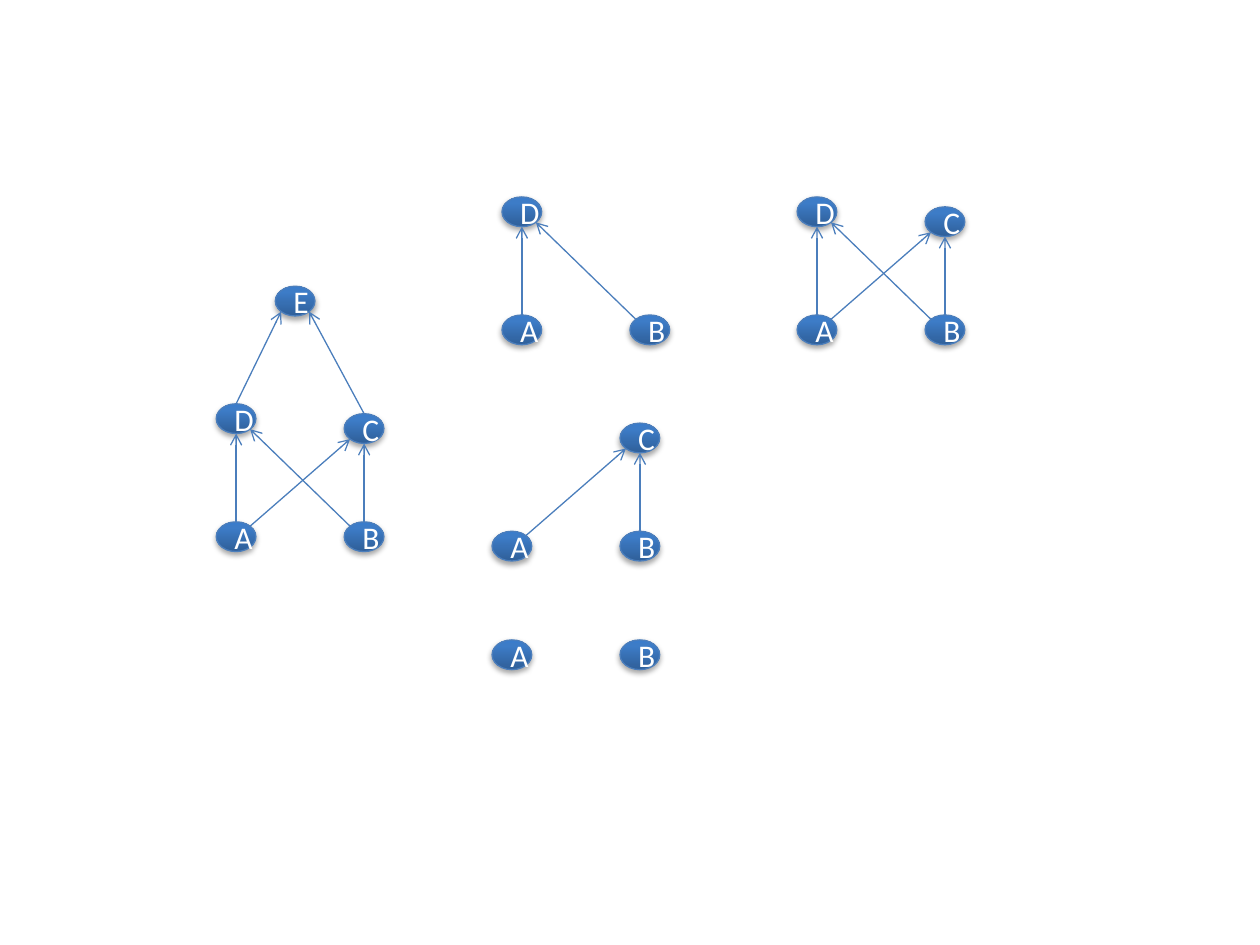
from copy import deepcopy
from dataclasses import dataclass
from math import sqrt

from lxml import etree
from pptx import Presentation
from pptx.dml.color import RGBColor
from pptx.enum.shapes import MSO_CONNECTOR, MSO_SHAPE
from pptx.enum.text import MSO_ANCHOR, PP_ALIGN
from pptx.oxml.ns import qn
from pptx.util import Cm, Pt

STRAIGHT = MSO_CONNECTOR.STRAIGHT
ELLIPSE = MSO_SHAPE.OVAL
CENTER = PP_ALIGN.CENTER
MIDDLE = MSO_ANCHOR.MIDDLE


@dataclass(frozen=True)
class Theme:
    gradient: tuple = ((0, "2F5F99"), (0.8, "3D7CC7"), (1, "3A7CCB"))
    line: RGBColor = RGBColor.from_string("4B7EBC")
    text: RGBColor = RGBColor.from_string("FFFFFF")
    font: str = "Calibri"
    text_size: Pt = Pt(18)
    line_width: Pt = Pt(0.75)


THEME = Theme()

NODE_WIDTH, NODE_HEIGHT = 0.8, 0.6

# Left and top of each node within the full graph, in cm
NODE_OFFSETS = {
    "A": (0, 4.75),
    "B": (2.58, 4.75),
    "C": (2.58, 2.57),
    "D": (0, 2.37),
    "E": (1.19, 0),
}

# Points on a node's rim, as multiples of its half width and half height
DIAGONAL = sqrt(0.5)
TOP, BOTTOM = (0, -1), (0, 1)
TOP_LEFT, TOP_RIGHT = (-DIAGONAL, -DIAGONAL), (DIAGONAL, -DIAGONAL)
BOTTOM_LEFT, BOTTOM_RIGHT = (-DIAGONAL, DIAGONAL), (DIAGONAL, DIAGONAL)

EDGES = (
    ("B", TOP_LEFT, "D", BOTTOM_RIGHT),
    ("A", TOP, "D", BOTTOM),
    ("B", TOP, "C", BOTTOM),
    ("D", TOP, "E", BOTTOM_LEFT),
    ("C", TOP, "E", BOTTOM_RIGHT),
    ("A", TOP_RIGHT, "C", BOTTOM_LEFT),
)

# Nodes shown, then left and top of the graph's box in cm
GRAPHS = (
    ("ABCDE", 4.36, 5.77),
    ("ABC", 9.92, 8.53),
    ("ABD", 10.12, 3.97),
    ("ABCD", 16.07, 3.97),
    ("AB", 9.92, 12.9),
)


def add_gradient(fill):
    fill.gradient()
    fill.gradient_angle = 90
    stop_list = fill._xPr.find(qn("a:gradFill")).find(qn("a:gsLst"))
    stop_list.append(deepcopy(stop_list[0]))
    for stop, (position, color) in zip(fill.gradient_stops, THEME.gradient):
        stop.position = position
        stop.color.rgb = RGBColor.from_string(color)


def add_soft_shadow(node):
    node.shadow.inherit = False
    effects = node._element.spPr.find(qn("a:effectLst"))
    shadow = etree.SubElement(
        effects, qn("a:outerShdw"), blurRad=str(Pt(3.1)),
        dist=str(Pt(1.8)), dir="5400000", rotWithShape="0")
    black = etree.SubElement(shadow, qn("a:srgbClr"), val="000000")
    etree.SubElement(black, qn("a:alpha"), val="35000")


def style_line(line):
    line.color.rgb = THEME.line
    line.width = THEME.line_width


def add_node(slide, letter, left, top):
    node = slide.shapes.add_shape(
        ELLIPSE, Cm(left), Cm(top), Cm(NODE_WIDTH), Cm(NODE_HEIGHT))
    add_gradient(node.fill)
    style_line(node.line)
    add_soft_shadow(node)
    label = node.text_frame
    label.text = letter
    label.vertical_anchor = MIDDLE
    label.paragraphs[0].alignment = CENTER
    font = label.paragraphs[0].runs[0].font
    font.name, font.size = THEME.font, THEME.text_size
    font.color.rgb = THEME.text


def rim_point(corner, site):
    left, top = corner
    return (Cm(left + NODE_WIDTH / 2 * (1 + site[0])),
            Cm(top + NODE_HEIGHT / 2 * (1 + site[1])))


def add_arrow(slide, start, end):
    arrow = slide.shapes.add_connector(STRAIGHT, *start, *end)
    style_line(arrow.line)
    etree.SubElement(arrow.line._get_or_add_ln(), qn("a:tailEnd"), type="arrow")
    etree.SubElement(arrow._element.spPr, qn("a:effectLst"))


def add_graph(slide, letters, left, top):
    """Draw the part of the full graph that joins the given nodes."""
    highest = min(NODE_OFFSETS[letter][1] for letter in letters)
    corners = {}
    for letter in letters:
        dx, dy = NODE_OFFSETS[letter]
        corners[letter] = (left + dx, top + dy - highest)
        add_node(slide, letter, *corners[letter])
    for source, source_site, target, target_site in EDGES:
        if source in corners and target in corners:
            add_arrow(slide, rim_point(corners[source], source_site),
                      rim_point(corners[target], target_site))


def main():
    deck = Presentation()
    deck.slide_width, deck.slide_height = Cm(25.4), Cm(19.05)
    slide = deck.slides.add_slide(deck.slide_layouts[6])
    for letters, left, top in GRAPHS:
        add_graph(slide, letters, left, top)
    deck.save("out.pptx")


if __name__ == "__main__":
    main()
